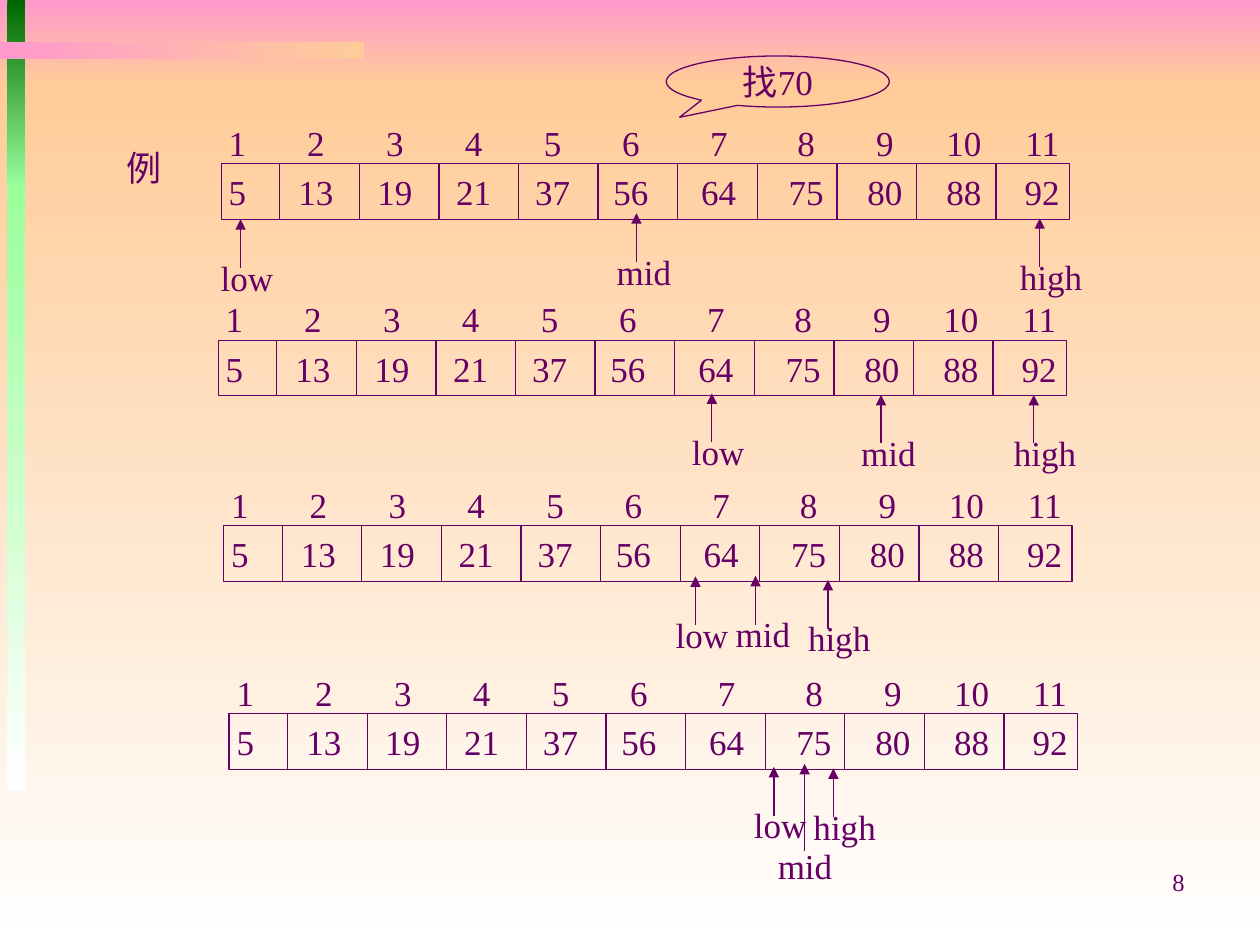
from lxml import etree
from pptx import Presentation
from pptx import util as u
from pptx.dml.color import RGBColor
from pptx.enum import shapes, text
from pptx.oxml.ns import qn

# Content (all lengths in cm)
INK = "660066"
FONT = "Times New Roman"
INDEXES = [str(n) for n in range(1, 12)]
VALUES = ["5", "13", "19", "21", "37", "56", "64", "75", "80", "88", "92"]
# Centres of cells 2 to 11, from the start of the text
CELL_CENTRES = [1.76, 3.35, 4.94, 6.53, 8.11, 9.88, 11.64, 13.23, 14.82, 16.4]

# left, top, width, height, first colour, last colour, angle
BACKDROP = [
    (0, 0, 25.4, 1.7, "FF99CC", "FFCC99", 270),
    (0, 1.7, 25.4, 17.35, "FFCC99", "FFFFFF", 270),
    (0.15, 0, 0.36, 3.76, "006600", "99FF99", 270),
    (0.15, 3.71, 0.36, 12.22, "99FF99", "FFFFFF", 270),
    (0, 0.84, 7.34, 0.36, "FF99CC", "FFCC99", 0),
]

# Array left and top, then pointers: name, x, tip
STEPS = [
    (4.46, 3.3, [("low", 4.85, 4.42), ("high", 20.96, 4.4), ("mid", 12.83, 4.3)]),
    (4.4, 6.86, [("low", 14.35, 7.93), ("high", 20.84, 7.96), ("mid", 17.76, 7.96)]),
    (4.51, 10.6, [("low", 14.02, 11.62), ("high", 16.69, 11.69), ("mid", 15.23, 11.61)]),
    (4.62, 14.39, [("low", 15.6, 15.46), ("high", 16.8, 15.49), ("mid", 16.22, 15.4)]),
]
LABEL_WIDTHS = {"low": 1.57, "high": 1.78, "mid": 1.62}
ARRAY_WIDTH, ROW_HEIGHT = 17.1, 1.12
FIRST_CELL, LAST_CELL = 1.18, 1.48
DIVIDERS = len(VALUES) - 1
CELL = (ARRAY_WIDTH - FIRST_CELL - LAST_CELL) / (DIVIDERS - 1)
POINTER_LENGTH, LONG_POINTER = 0.98, 1.75

prs = Presentation()
prs.slide_width, prs.slide_height = u.Cm(25.4), u.Cm(19.05)
slide = prs.slides.add_slide(prs.slide_layouts[6])


def colour(hex_code):
    return RGBColor.from_string(hex_code)


def cms(*lengths):
    return [u.Cm(length) for length in lengths]


def write(shape, words, size=20, align=text.PP_ALIGN.LEFT, wrap=False, tabs=()):
    frame = shape.text_frame
    frame.word_wrap = wrap
    frame.text = words
    paragraph = frame.paragraphs[0]
    paragraph.alignment = align
    if tabs:
        tab_list = etree.SubElement(paragraph._p.get_or_add_pPr(), qn("a:tabLst"))
        for position in tabs:
            etree.SubElement(tab_list, qn("a:tab"), pos=str(u.Cm(position)), algn="ctr")
    font = paragraph.runs[0].font
    font.name, font.size = FONT, u.Pt(size)
    font.color.rgb = colour(INK)


def add_label(words, left, top, width, height=ROW_HEIGHT, **style):
    box = slide.shapes.add_textbox(*cms(left, top, width, height))
    write(box, words, **style)
    if not box.text_frame.word_wrap:
        box.text_frame.auto_size = text.MSO_AUTO_SIZE.SHAPE_TO_FIT_TEXT


def add_outline(kind, left, top, width, height):
    shape = slide.shapes.add_shape(kind, *cms(left, top, width, height))
    shape.shadow.inherit = False
    shape.fill.background()
    shape.line.color.rgb = colour(INK)
    shape.line.width = u.Pt(0.75)
    shape.text_frame.vertical_anchor = text.MSO_ANCHOR.MIDDLE
    return shape


def add_line(x, start, end, arrow=False):
    line = slide.shapes.add_connector(
        shapes.MSO_CONNECTOR.STRAIGHT, *cms(x, start, x, end))
    line.line.color.rgb = colour(INK)
    line.line.width = u.Pt(0.75)
    properties = line._element.spPr
    if arrow:
        etree.SubElement(properties.find(qn("a:ln")), qn("a:tailEnd"), type="triangle")
    etree.SubElement(properties, qn("a:effectLst"))


# Backdrop and colour bars
for left, top, width, height, first, last, angle in BACKDROP:
    bar = slide.shapes.add_shape(
        shapes.MSO_SHAPE.RECTANGLE, *cms(left, top, width, height))
    bar.shadow.inherit = False
    bar.line.fill.background()
    bar.fill.gradient()
    bar.fill.gradient_angle = angle
    for stop, shade, position in zip(bar.fill.gradient_stops, (first, last), (0, 1)):
        stop.color.rgb = colour(shade)
        stop.position = position

# Heading and search target
add_label("例", 2.31, 2.82, 1.37)
target = add_outline(shapes.MSO_SHAPE.OVAL_CALLOUT, 13.43, 1.13, 4.5, 1.03)
target.adjustments[0], target.adjustments[1] = -0.44, 0.7
write(target, "找70", align=text.PP_ALIGN.CENTER)

# Search steps
for left, top, pointers in STEPS:
    add_label("\t".join(INDEXES), left - 0.1, top - 0.98, 17.3,
              wrap=True, tabs=CELL_CENTRES)
    array = add_outline(shapes.MSO_SHAPE.RECTANGLE, left, top, ARRAY_WIDTH, ROW_HEIGHT)
    array.text_frame.margin_left, array.text_frame.margin_right = cms(0.15, 0)
    write(array, "\t".join(VALUES), wrap=True, tabs=CELL_CENTRES)
    for i in range(DIVIDERS):
        add_line(left + FIRST_CELL + i * CELL, top, top + ROW_HEIGHT)

    for name, x, tip in pointers:
        # The last mid hangs below its crowded neighbours
        hangs = name == "mid" and top == STEPS[-1][1]
        tail = tip + (LONG_POINTER if hangs else POINTER_LENGTH)
        add_line(x, tail, tip, arrow=True)
        shift_x, shift_y = (-0.79, -0.25) if hangs else (-0.65, -0.36)
        add_label(name, x + shift_x, tail + shift_y, LABEL_WIDTHS[name])

# Page number
add_label("8", 18.21, 17.35, 5.92, 1.32, size=14,
          align=text.PP_ALIGN.RIGHT, wrap=True)

prs.save("out.pptx")
